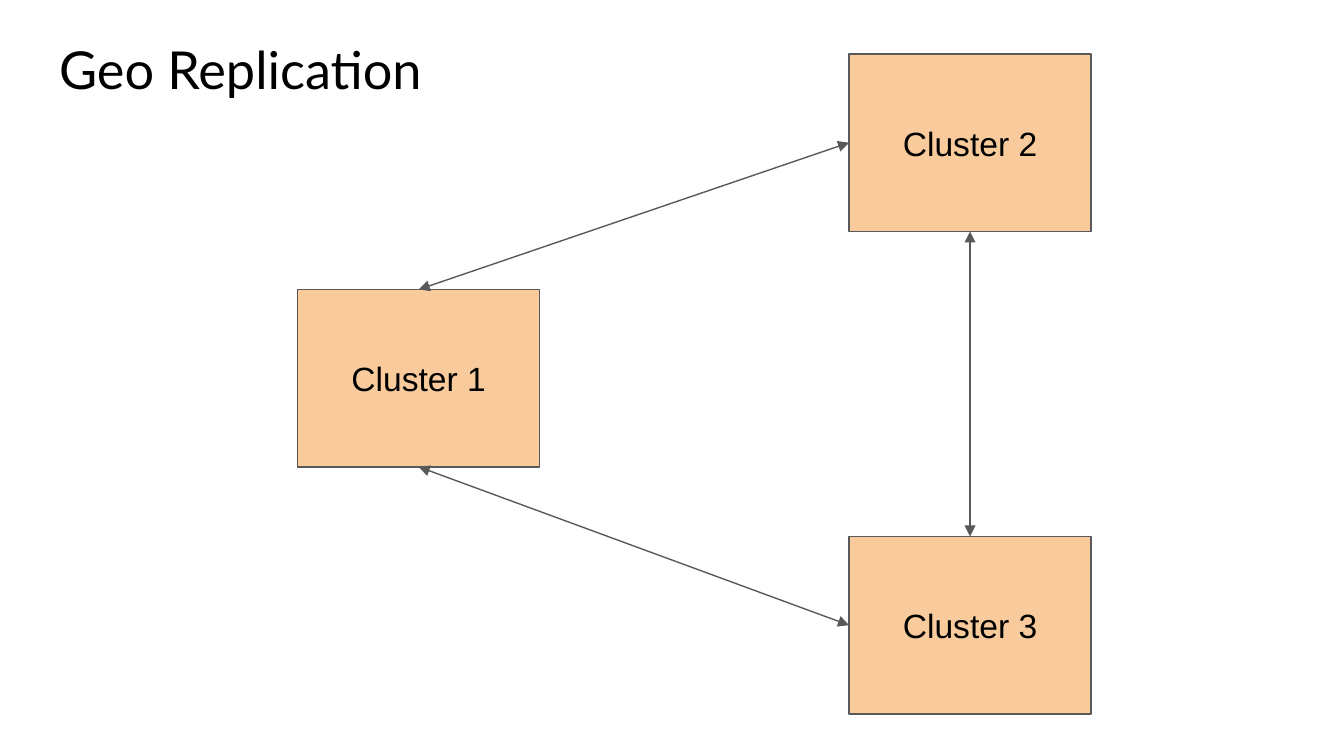
from typing import NamedTuple

from lxml.etree import SubElement
from pptx import Presentation
from pptx.dml.color import RGBColor
from pptx.enum.shapes import MSO_CONNECTOR as Connector, MSO_SHAPE as Preset
from pptx.enum.text import MSO_ANCHOR as Anchor, PP_ALIGN as Align
from pptx.oxml.ns import qn
from pptx.util import Inches, Pt

BLACK = RGBColor(0x00, 0x00, 0x00)
WHITE = RGBColor(0xFF, 0xFF, 0xFF)
PEACH = RGBColor(0xF9, 0xCB, 0x9C)
GRAY = RGBColor(0x59, 0x59, 0x59)

SLIDE_WIDTH = Inches(10)
SLIDE_HEIGHT = SLIDE_WIDTH * 9 // 16
GRID_COLUMNS = 100
CELL = SLIDE_WIDTH / GRID_COLUMNS
CLUSTER_COLUMNS, CLUSTER_ROWS = 18, 13.2
LEFT_COLUMN, RIGHT_COLUMN = 22.15, 63.18
TOP, LEFT, BOTTOM = 0, 1, 2

FRAME_FORMAT = {
    "word_wrap": True,
    "margin_left": Inches(0.1),
    "margin_top": Inches(0.1),
    "margin_right": Inches(0.1),
    "margin_bottom": Inches(0.1),
}
TITLE_FONT = {"name": "Lato", "size": Pt(28)}
CLUSTER_FONT = {"name": "Arial", "size": Pt(18)}


class Cluster(NamedTuple):
    name: str
    column: float
    row: float


class Link(NamedTuple):
    start: str
    start_side: int
    end: str
    end_side: int


CLUSTERS = [
    Cluster("Cluster 1", LEFT_COLUMN, 21.54),
    Cluster("Cluster 2", RIGHT_COLUMN, 4.02),
    Cluster("Cluster 3", RIGHT_COLUMN, 39.92),
]
LINKS = [
    Link("Cluster 1", TOP, "Cluster 2", LEFT),
    Link("Cluster 2", BOTTOM, "Cluster 3", TOP),
    Link("Cluster 3", LEFT, "Cluster 1", BOTTOM),
]


def cells(count: float) -> int:
    return round(count * CELL)


def set_attributes(target, values: dict) -> None:
    for name, value in values.items():
        setattr(target, name, value)


def write_text(shape, text: str, font: dict, anchor, alignment) -> None:
    frame = shape.text_frame
    frame.text = text
    set_attributes(frame, {**FRAME_FORMAT, "vertical_anchor": anchor})
    paragraph = frame.paragraphs[0]
    paragraph.alignment = alignment
    set_attributes(paragraph.runs[0].font, font)
    paragraph.runs[0].font.color.rgb = BLACK


def style_line(line) -> None:
    line.width = Pt(0.75)
    line.color.rgb = GRAY


def draw_title(slide, text: str) -> None:
    title = slide.shapes.title
    set_attributes(title, {
        "left": cells(3.4), "top": cells(1.8),
        "width": cells(93.2), "height": cells(6.3),
    })
    write_text(title, text, TITLE_FONT, Anchor.TOP, Align.LEFT)


def draw_cluster(slide, cluster: Cluster):
    shape = slide.shapes.add_shape(
        Preset.RECTANGLE, cells(cluster.column), cells(cluster.row),
        cells(CLUSTER_COLUMNS), cells(CLUSTER_ROWS))
    shape.shadow.inherit = False
    shape.fill.solid()
    shape.fill.fore_color.rgb = PEACH
    style_line(shape.line)
    write_text(shape, cluster.name, CLUSTER_FONT, Anchor.MIDDLE, Align.CENTER)
    return shape


def draw_link(slide, link: Link, shapes: dict) -> None:
    connector = slide.shapes.add_connector(Connector.STRAIGHT, 0, 0, 0, 0)
    connector.begin_connect(shapes[link.start], link.start_side)
    connector.end_connect(shapes[link.end], link.end_side)
    style_line(connector.line)
    properties = connector._element.spPr
    outline = properties.find(qn("a:ln"))
    for arrow_end in ("a:headEnd", "a:tailEnd"):
        SubElement(outline, qn(arrow_end), type="triangle", w="med", len="med")
    SubElement(properties, qn("a:effectLst"))


def main() -> None:
    presentation = Presentation()
    presentation.slide_width = SLIDE_WIDTH
    presentation.slide_height = SLIDE_HEIGHT
    slide = presentation.slides.add_slide(presentation.slide_layouts.get_by_name("Title Only"))
    slide.background.fill.solid()
    slide.background.fill.fore_color.rgb = WHITE
    draw_title(slide, "Geo Replication")
    shapes = {cluster.name: draw_cluster(slide, cluster) for cluster in CLUSTERS}
    for link in LINKS:
        draw_link(slide, link, shapes)
    presentation.save("out.pptx")


if __name__ == "__main__":
    main()
